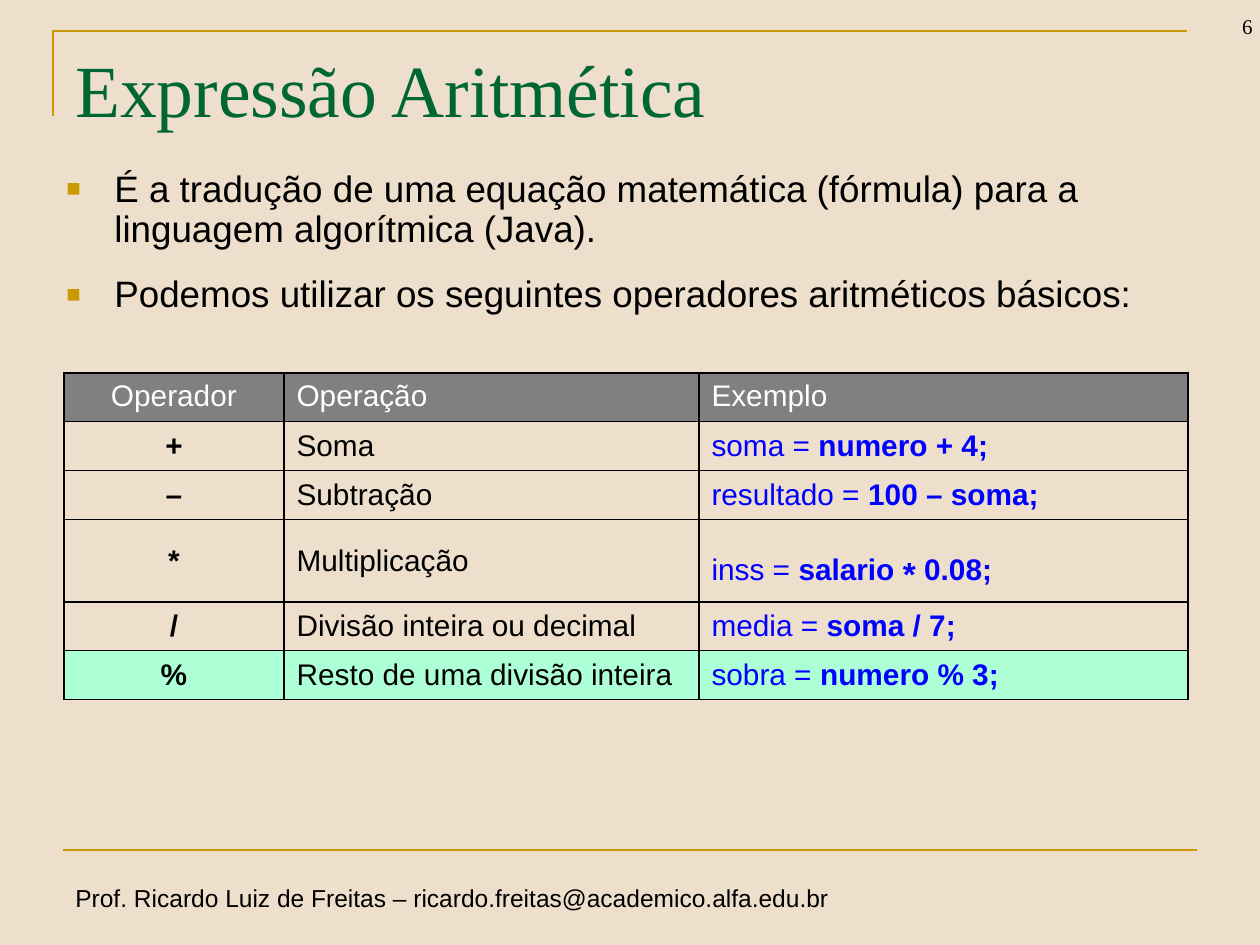
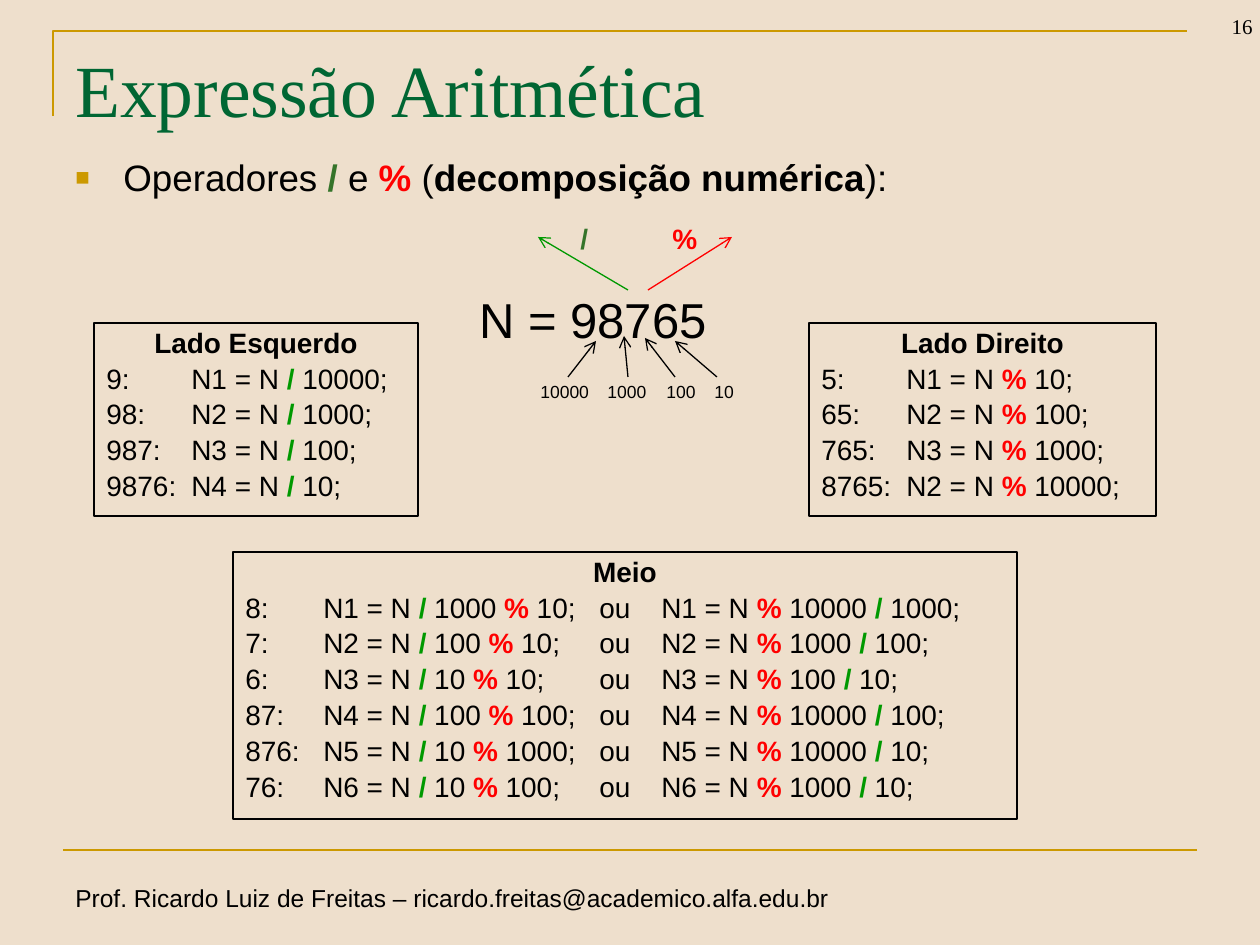
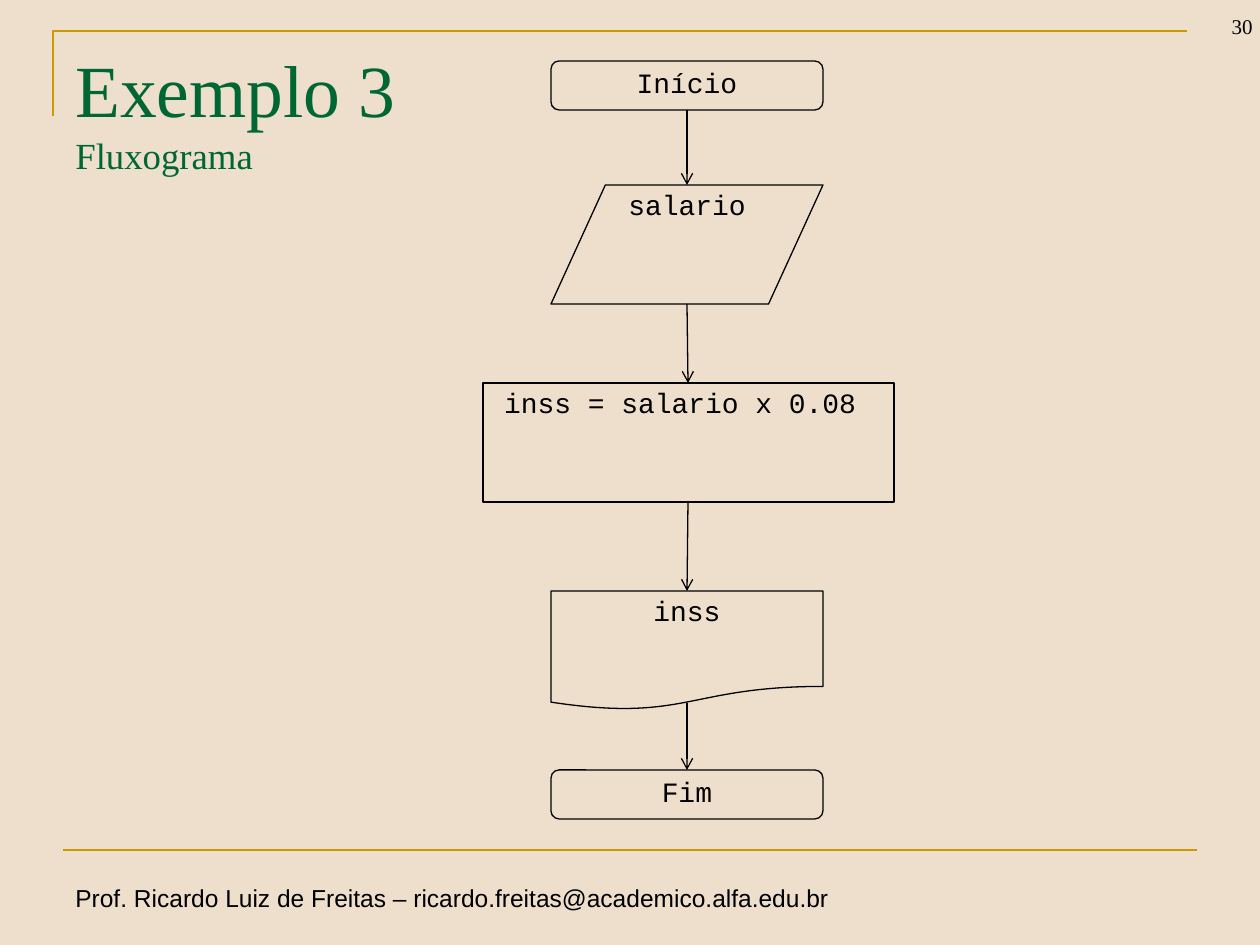
from dataclasses import dataclass, replace
from functools import partial

from lxml.etree import SubElement
from pptx import Presentation
from pptx.dml.color import RGBColor
from pptx.enum.shapes import MSO_CONNECTOR, MSO_SHAPE
from pptx.enum.text import MSO_ANCHOR, PP_ALIGN
from pptx.oxml.ns import qn
from pptx.util import Emu, Pt

STRAIGHT = MSO_CONNECTOR.STRAIGHT
RECTANGLE = MSO_SHAPE.RECTANGLE
TERMINAL = MSO_SHAPE.FLOWCHART_ALTERNATE_PROCESS
INPUT = MSO_SHAPE.FLOWCHART_DATA
PROCESS = MSO_SHAPE.FLOWCHART_PROCESS
OUTPUT = MSO_SHAPE.FLOWCHART_DOCUMENT
TOP, MIDDLE, BOTTOM = MSO_ANCHOR.TOP, MSO_ANCHOR.MIDDLE, MSO_ANCHOR.BOTTOM
LEFT, CENTER, RIGHT = PP_ALIGN.LEFT, PP_ALIGN.CENTER, PP_ALIGN.RIGHT

PX_PER_INCH = 126


@dataclass(frozen=True)
class Theme:
    background: str = "EEDFCC"
    gold: str = "CC9900"
    title: str = "006633"
    ink: str = "000000"
    header_fill: str = "808080"
    header_text: str = "FFFFFF"
    highlight: str = "ADFFD6"
    code: str = "0000FF"
    division: str = "009900"
    division_dark: str = "35742A"
    remainder: str = "FF0000"
    sans: str = "Arial"
    serif: str = "Times New Roman"
    mono: str = "Courier New"
    title_size: int = 42
    asterisk_size: int = 33
    number_size: int = 28
    body_size: int = 21
    table_size: int = 17
    formula_size: int = 16
    footer_size: int = 14
    page_size: int = 12
    power_size: int = 10
    rule_width: float = 1.5
    outline_width: float = 0.75
    border_width: float = 1


THEME = Theme()


@dataclass(frozen=True)
class Style:
    size: float
    color: str = THEME.ink
    font: str = THEME.sans
    bold: bool = False


TITLE = Style(THEME.title_size, THEME.title, THEME.serif)
BODY = Style(THEME.body_size)
CELL = Style(THEME.table_size)
FORMULA = Style(THEME.formula_size)
FLOW = Style(THEME.formula_size, font=THEME.mono)

FOOTER = "Prof. Ricardo Luiz de Freitas – ricardo.freitas@academico.alfa.edu.br"

OPERATORS = (
    ("+", "Soma", "soma = ", "numero + 4;"),
    ("–", "Subtração", "resultado = ", "100 – soma;"),
    ("*", "Multiplicação", "inss = ", "salario * 0.08;"),
    ("/", "Divisão inteira ou decimal", "media = ", "soma / 7;"),
    ("%", "Resto de uma divisão inteira", "sobra = ", "numero % 3;"),
)
LEFT_SIDE = (
    "9:\tN1 = N / 10000;",
    "98:\tN2 = N / 1000;",
    "987:\tN3 = N / 100;",
    "9876:\tN4 = N / 10;",
)
RIGHT_SIDE = (
    "5:\tN1 = N % 10;",
    "65:\tN2 = N % 100;",
    "765:\tN3 = N % 1000;",
    "8765:\tN2 = N % 10000;",
)
# Digits wanted, then divisor and modulus, then modulus and divisor
MIDDLE_DIGITS = (
    (8, 1000, 10, 10000, 1000),
    (7, 100, 10, 1000, 100),
    (6, 10, 10, 100, 10),
    (87, 100, 100, 10000, 100),
    (876, 10, 1000, 10000, 10),
    (76, 10, 100, 1000, 10),
)


def px(length):
    return Emu(round(length * 914400 / PX_PER_INCH))


def rgb(color):
    return RGBColor.from_string(color)


def format_run(run, style):
    run.font.size = Pt(style.size)
    run.font.name = style.font
    run.font.bold = style.bold
    run.font.color.rgb = rgb(style.color)


def add_runs(paragraph, pieces):
    for text, style in pieces:
        run = paragraph.add_run()
        run.text = text
        format_run(run, style)


def space_paragraph(paragraph, before=20, after=0, lines=0.9, bullet=False, tabs=()):
    """Set spacing in percent, then the bullet and the tab stops."""
    paragraph.line_spacing = lines
    properties = paragraph._p.get_or_add_pPr()
    for tag, percent in (("a:spcBef", before), ("a:spcAft", after)):
        spacing = SubElement(properties, qn(tag))
        SubElement(spacing, qn("a:spcPct"), val=str(percent * 1000))
    if bullet:
        properties.set("marL", str(px(48)))
        properties.set("indent", str(-px(48)))
        bullet_color = SubElement(properties, qn("a:buClr"))
        SubElement(bullet_color, qn("a:srgbClr"), val=THEME.gold)
        SubElement(properties, qn("a:buSzPct"), val="65000")
        SubElement(properties, qn("a:buFont"), typeface=THEME.sans)
        SubElement(properties, qn("a:buChar"), char="■")
    if tabs:
        stops = SubElement(properties, qn("a:tabLst"))
        for stop in tabs:
            SubElement(stops, qn("a:tab"), pos=str(px(stop)), algn="l")


def add_text(slide, box, pieces, align=LEFT, anchor=TOP, wrap=True):
    """Add a text box with one paragraph, and return that paragraph."""
    frame = slide.shapes.add_textbox(*map(px, box)).text_frame
    frame.word_wrap = wrap
    frame.vertical_anchor = anchor
    paragraph = frame.paragraphs[0]
    paragraph.alignment = align
    add_runs(paragraph, pieces)
    return paragraph


def add_line(slide, start, end, color=THEME.ink, width=THEME.outline_width, arrow=True):
    line = slide.shapes.add_connector(STRAIGHT, *map(px, start + end))
    line.line.color.rgb = rgb(color)
    line.line.width = Pt(width)
    properties = line._element.spPr
    if arrow:
        SubElement(properties.find(qn("a:ln")), qn("a:tailEnd"), type="arrow")
    SubElement(properties, qn("a:effectLst"))


def outline(shape, color=THEME.ink, width=THEME.outline_width):
    shape.shadow.inherit = False
    shape.fill.background()
    shape.line.color.rgb = rgb(color)
    shape.line.width = Pt(width)


def add_outlined_shape(slide, kind, box):
    """Add an unfilled shape and return its text frame."""
    shape = slide.shapes.add_shape(kind, *map(px, box))
    outline(shape)
    frame = shape.text_frame
    frame.word_wrap = True
    frame.vertical_anchor = TOP
    return frame


def add_base_slide(deck, page, title, subtitle=None):
    slide = deck.slides.add_slide(deck.slide_layouts[6])
    corner = slide.shapes.build_freeform(px(53), px(116), scale=1.0)
    corner.add_line_segments([(px(53), px(31)), (px(1187), px(31))], close=False)
    outline(corner.convert_to_shape(), THEME.gold, THEME.rule_width)
    add_line(slide, (63, 850), (1197, 850), THEME.gold, THEME.rule_width, arrow=False)
    add_text(slide, (63, 877, 804, 43), [(FOOTER, Style(THEME.footer_size))], wrap=False)
    page_style = Style(THEME.page_size, font=THEME.serif)
    add_text(slide, (1170, -18, 95, 63), [(str(page), page_style)], RIGHT, BOTTOM)

    heading = add_text(slide, (63, 38, 1134, 157), [])
    heading.text = f"{title}\v{subtitle}" if subtitle else title
    for run, size in zip(heading.runs, (THEME.title_size, THEME.body_size)):
        format_run(run, replace(TITLE, size=size))
    return slide


def add_bullets(slide, box, paragraphs):
    first = add_text(slide, box, paragraphs[0])
    frame = first._parent
    for pieces in paragraphs[1:]:
        add_runs(frame.add_paragraph(), pieces)
    for paragraph in frame.paragraphs:
        space_paragraph(paragraph, after=50, bullet=True)


def fill_cell(cell, pieces, align, anchor, fill):
    paragraph = cell.text_frame.paragraphs[0]
    paragraph.alignment = align
    add_runs(paragraph, pieces)
    space_paragraph(paragraph, lines=1.0)
    cell.vertical_anchor = anchor
    if fill:
        cell.fill.solid()
        cell.fill.fore_color.rgb = rgb(fill)
    else:
        cell.fill.background()
    properties = cell._tc.get_or_add_tcPr()
    for position, side in enumerate(("a:lnL", "a:lnR", "a:lnT", "a:lnB")):
        border = SubElement(properties, qn(side), w=str(Pt(THEME.border_width)))
        SubElement(SubElement(border, qn("a:solidFill")), qn("a:srgbClr"), val=THEME.ink)
        properties.insert(position, border)


def example_pieces(target, expression):
    """Bold the expression and enlarge its asterisk, if it has one."""
    plain = replace(CELL, color=THEME.code)
    bold = replace(plain, bold=True)
    before, asterisk, after = expression.partition("*")
    pieces = [(target, plain), (before, bold)]
    if asterisk:
        pieces += [(asterisk, replace(bold, size=THEME.asterisk_size)), (after, bold)]
    return pieces


def add_operator_table(slide):
    columns, rows = (220, 415, 489), (45, 49, 49, 77, 46, 49)
    frame = slide.shapes.add_table(
        len(rows), len(columns), px(64), px(373), px(sum(columns)), px(sum(rows)))
    table = frame.table
    table.first_row = table.horz_banding = False
    for column, width in zip(table.columns, columns):
        column.width = px(width)
    for row, height in zip(table.rows, rows):
        row.height = px(height)

    header = replace(CELL, color=THEME.header_text)
    contents = [[[(name, header)] for name in ("Operador", "Operação", "Exemplo")]]
    for symbol, operation, target, expression in OPERATORS:
        contents.append([[(symbol, replace(CELL, bold=True))], [(operation, CELL)],
                         example_pieces(target, expression)])
    fills = [THEME.header_fill, None, None, None, None, THEME.highlight]
    for index, (row, pieces_row, fill) in enumerate(zip(table.rows, contents, fills)):
        anchor = MIDDLE if index else TOP
        for cell, pieces, align in zip(row.cells, pieces_row, (CENTER, LEFT, LEFT)):
            fill_cell(cell, pieces, align, anchor, fill)
    for run in table.cell(3, 2).text_frame.paragraphs[0].runs:
        if run.text == "*":
            run.font._element.set("baseline", "-10000")


def operator_pieces(text, style, division=THEME.division):
    """Split text so that each / and % is bold and in its own colour."""
    colors = {"/": division, "%": THEME.remainder}
    pieces, plain = [], ""
    for character in text:
        if character in colors:
            if plain:
                pieces.append((plain, style))
            pieces.append((character, replace(style, color=colors[character], bold=True)))
            plain = ""
        else:
            plain += character
    return pieces + [(plain, style)] if plain else pieces


def add_formula_box(slide, box, heading, formulas, tabs):
    frame = add_outlined_shape(slide, RECTANGLE, box)
    title = frame.paragraphs[0]
    title.alignment = CENTER
    add_runs(title, [(heading, replace(FORMULA, bold=True))])
    space_paragraph(title)
    for formula in formulas:
        paragraph = frame.add_paragraph()
        paragraph.alignment = LEFT
        add_runs(paragraph, operator_pieces(formula, FORMULA))
        space_paragraph(paragraph, tabs=tabs)


def add_number_diagram(slide):
    number = add_text(slide, (467, 290, 277, 67), [("N = 98765", Style(THEME.number_size))])
    space_paragraph(number)
    add_line(slide, (628, 290), (538, 237), THEME.division)
    add_line(slide, (648, 290), (732, 237), THEME.remainder)
    signs = add_text(slide, (568, 219, 149, 43),
                     operator_pieces("/\t%", FORMULA, THEME.division_dark))
    space_paragraph(signs, tabs=(92,))
    powers = add_text(slide, (528, 377, 233, 32),
                      [("10000\t1000\t100\t10", Style(THEME.power_size))])
    space_paragraph(powers, tabs=(67, 126, 174))
    for power_x, digit in ((717, (675, 341)), (675, (645, 338)),
                           (628, (624, 336)), (568, (596, 341))):
        add_line(slide, (power_x, 377), digit)


def add_flow_step(slide, kind, box, label):
    paragraph = add_outlined_shape(slide, kind, box).paragraphs[0]
    paragraph.alignment = CENTER
    add_runs(paragraph, [(label, FLOW)])
    space_paragraph(paragraph)


def build_operators_slide(deck):
    slide = add_base_slide(deck, 6, "Expressão Aritmética")
    add_bullets(slide, (54, 165, 1134, 192), [
        [("É a tradução de uma equação matemática (fórmula) para a "
          "linguagem algorítmica (Java).", BODY)],
        [("Podemos utilizar os seguintes operadores aritméticos básicos:", BODY)],
    ])
    add_operator_table(slide)


def build_decomposition_slide(deck):
    slide = add_base_slide(deck, 16, "Expressão Aritmética")
    intro = operator_pieces("Operadores / e % (", BODY, THEME.division_dark)
    intro += [("decomposição numérica", replace(BODY, bold=True)), ("):", BODY)]
    add_bullets(slide, (63, 154, 1123, 66), [intro])
    middle = [
        f"{digits}:\tN{i} = N / {divisor} % {modulus};\tou\t"
        f"N{i} = N % {first_modulus} / {last_divisor};"
        for i, (digits, divisor, modulus, first_modulus, last_divisor)
        in enumerate(MIDDLE_DIGITS, 1)
    ]
    add_box = partial(add_formula_box, slide)
    add_box((809, 323, 347, 193), "Lado Direito", RIGHT_SIDE, (85,))
    add_box((233, 552, 784, 267), "Meio", middle, (78, 354, 416))
    add_box((94, 323, 324, 193), "Lado Esquerdo", LEFT_SIDE, (85,))
    add_number_diagram(slide)


def build_flowchart_slide(deck):
    slide = add_base_slide(deck, 30, "Exemplo 3", "Fluxograma")
    add_step = partial(add_flow_step, slide)
    add_step(TERMINAL, (551, 61, 272, 49), "Início")
    add_step(INPUT, (551, 185, 272, 119), "salario")
    add_step(PROCESS, (483, 383, 411, 119), "inss = salario x 0.08 ")
    add_step(OUTPUT, (551, 591, 272, 119), "inss")
    add_step(TERMINAL, (551, 770, 272, 49), "Fim")
    for start, end in (((687, 110), (687, 185)), ((687, 304), (688, 383)),
                       ((688, 502), (687, 591)), ((687, 703), (687, 770))):
        add_line(slide, start, end)


def main():
    deck = Presentation()
    deck.slide_width, deck.slide_height = px(1260), px(945)
    background = deck.slide_master.background.fill
    background.solid()
    background.fore_color.rgb = rgb(THEME.background)
    build_operators_slide(deck)
    build_decomposition_slide(deck)
    build_flowchart_slide(deck)
    deck.save("out.pptx")


if __name__ == "__main__":
    main()
